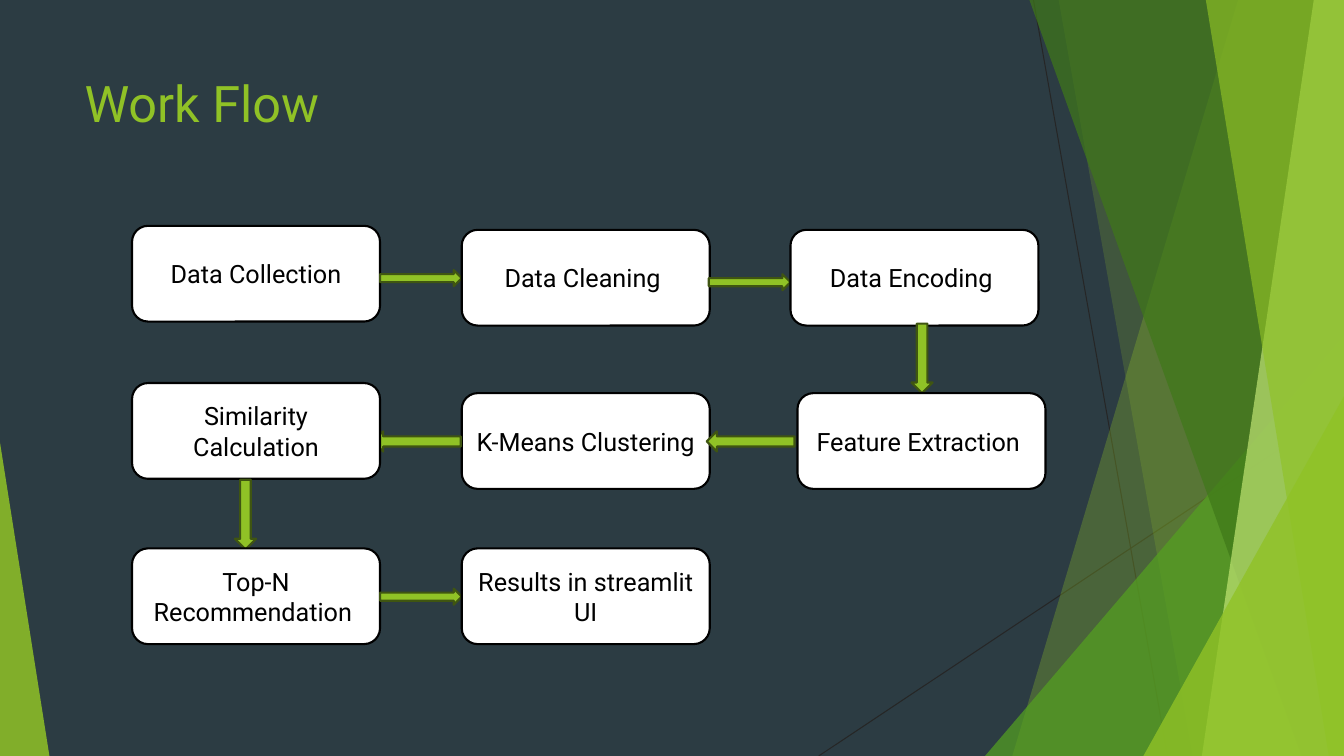
from dataclasses import dataclass

from lxml import etree
from pptx import Presentation
from pptx import util as u
from pptx.dml.color import RGBColor
from pptx.enum import shapes, text
from pptx.oxml import ns

PX = u.Inches(1) // 100  # one px is a hundredth of an inch
WIDTH, HEIGHT = 1333, 750
STEP_WIDTH, STEP_HEIGHT = 246, 95
KIND = shapes.MSO_SHAPE
RIGHT, LEFT, DOWN = KIND.RIGHT_ARROW, KIND.LEFT_ARROW, KIND.DOWN_ARROW
ARROW_SIZE = {RIGHT: (81, 16), LEFT: (87, 20), DOWN: (21, 69)}


@dataclass(frozen=True)
class Theme:
    background: str = "2C3C43"
    accent: str = "90C226"
    green: str = "54A021"
    forest: str = "3F7819"
    lime: str = "C0E474"
    arrow_edge: str = "3F5511"
    ray: str = "262626"
    white: str = "FFFFFF"
    black: str = "000000"
    font: str = "Roboto"
    title_size: int = 36
    step_size: int = 18
    edge: float = 1.5
    hairline: float = 0.75


THEME = Theme()


@dataclass(frozen=True)
class Ray:
    start: tuple[int, int]
    end: tuple[int, int]


@dataclass(frozen=True)
class Facet:
    """Band across the full height, given by its top and bottom spans."""
    top_left: int
    bottom_left: int
    bottom_right: int
    color: str
    opacity: int


@dataclass(frozen=True)
class Corner:
    """Right triangle standing on the bottom edge of the slide."""
    left: int
    top: int
    width: int
    apex: int
    color: str
    opacity: int


@dataclass(frozen=True)
class Step:
    label: str
    left: int
    top: int


@dataclass(frozen=True)
class Arrow:
    kind: shapes.MSO_SHAPE
    left: int
    top: int


RAYS = [Ray((1025, 0), (1158, HEIGHT)), Ray((WIDTH, 403), (812, HEIGHT))]

DECORATION = [
    Facet(1228, 1004, WIDTH, THEME.accent, 30),
    Facet(1050, 1183, WIDTH, THEME.accent, 20),
    Corner(977, 333, 356, 1, THEME.green, 72),
    Facet(1021, 1291, WIDTH, THEME.forest, 70),
    Facet(1303, 1192, WIDTH, THEME.lime, 70),
    Facet(1196, 1318, WIDTH, THEME.accent, 65),
    Corner(1134, 393, 199, 1, THEME.accent, 80),
    Corner(0, 439, 49, 0, THEME.accent, 85),
]

# Back to front, so an arrow may tuck under the step after it
COLUMNS = (131, 458, 784)
FLOW = [
    Step("Data Collection", COLUMNS[0], 224),
    Arrow(RIGHT, 377, 268),
    Step("Data Cleaning ", COLUMNS[1], 228),
    Arrow(RIGHT, 703, 272),
    Step("Data Encoding ", COLUMNS[2], 228),
    Arrow(DOWN, 904, 321),
    Step("Feature Extraction ", 791, 390),
    Step("K-Means Clustering ", COLUMNS[1], 390),
    Arrow(LEFT, 701, 428),
    Arrow(LEFT, 370, 428),
    Step("Similarity Calculation", COLUMNS[0], 380),
    Arrow(DOWN, 233, 476),
    Step("Top-N Recommendation ", COLUMNS[0], 544),
    Arrow(RIGHT, 377, 584),
    Step("Results in streamlit UI", COLUMNS[1], 544),
]


def px(*lengths: int) -> list[int]:
    return [length * PX for length in lengths]


def apply(target, values: dict) -> None:
    for name, value in values.items():
        setattr(target, name, value)


def paint(shape, color: str, edge: str | None = None, opacity: int = 100) -> None:
    shape.shadow.inherit = False
    shape.fill.solid()
    shape.fill.fore_color.rgb = RGBColor.from_string(color)
    if opacity < 100:
        fill_color = shape.fill._xPr.find(ns.qn("a:solidFill"))[0]
        etree.SubElement(fill_color, ns.qn("a:alpha"), val=str(opacity * 1000))
    if edge is None:
        shape.line.fill.background()
    else:
        shape.line.color.rgb = RGBColor.from_string(edge)
        shape.line.width = u.Pt(THEME.edge)


def write(shape, words: str, size: int, color: str, anchor, alignment) -> None:
    apply(shape.text_frame, {"word_wrap": True, "vertical_anchor": anchor})
    paragraph = shape.text_frame.paragraphs[0]
    paragraph.alignment = alignment
    run = paragraph.add_run()
    run.text = words
    apply(run.font, {"name": THEME.font, "size": u.Pt(size)})
    run.font.color.rgb = RGBColor.from_string(color)


def draw_ray(slide, ray: Ray) -> None:
    connector = slide.shapes.add_connector(
        shapes.MSO_CONNECTOR.STRAIGHT, *px(*ray.start, *ray.end))
    connector.line.color.rgb = RGBColor.from_string(THEME.ray)
    connector.line.width = u.Pt(THEME.hairline)
    etree.SubElement(connector._element.spPr, ns.qn("a:effectLst"))


def draw_facet(slide, facet: Facet) -> None:
    builder = slide.shapes.build_freeform(facet.top_left, 0, scale=PX)
    builder.add_line_segments([(WIDTH, 0), (facet.bottom_right, HEIGHT),
                               (facet.bottom_left, HEIGHT)], close=True)
    paint(builder.convert_to_shape(), facet.color, opacity=facet.opacity)


def draw_corner(slide, corner: Corner) -> None:
    shape = slide.shapes.add_shape(KIND.ISOSCELES_TRIANGLE, *px(
        corner.left, corner.top, corner.width, HEIGHT - corner.top))
    shape.adjustments[0] = corner.apex
    paint(shape, corner.color, opacity=corner.opacity)


def draw_step(slide, step: Step) -> None:
    shape = slide.shapes.add_shape(KIND.ROUNDED_RECTANGLE, *px(
        step.left, step.top, STEP_WIDTH, STEP_HEIGHT))
    paint(shape, THEME.white, THEME.black)
    write(shape, step.label, THEME.step_size, THEME.black,
          text.MSO_ANCHOR.MIDDLE, text.PP_ALIGN.CENTER)


def draw_arrow(slide, arrow: Arrow) -> None:
    shape = slide.shapes.add_shape(
        arrow.kind, *px(arrow.left, arrow.top, *ARROW_SIZE[arrow.kind]))
    paint(shape, THEME.accent, THEME.arrow_edge)


DRAW = {Ray: draw_ray, Facet: draw_facet, Corner: draw_corner,
        Step: draw_step, Arrow: draw_arrow}


def main() -> None:
    presentation = Presentation()
    apply(presentation, {"slide_width": WIDTH * PX, "slide_height": HEIGHT * PX})
    slide = presentation.slides.add_slide(presentation.slide_layouts[6])
    slide.background.fill.solid()
    slide.background.fill.fore_color.rgb = RGBColor.from_string(THEME.background)

    # Backdrop
    for item in RAYS + DECORATION:
        DRAW[type(item)](slide, item)

    # Title
    title = slide.shapes.add_textbox(*px(74, 67, 940, 144))
    write(title, "Work Flow", THEME.title_size, THEME.accent,
          text.MSO_ANCHOR.TOP, text.PP_ALIGN.LEFT)

    # Flow chart
    for item in FLOW:
        DRAW[type(item)](slide, item)

    presentation.save("out.pptx")


if __name__ == "__main__":
    main()
